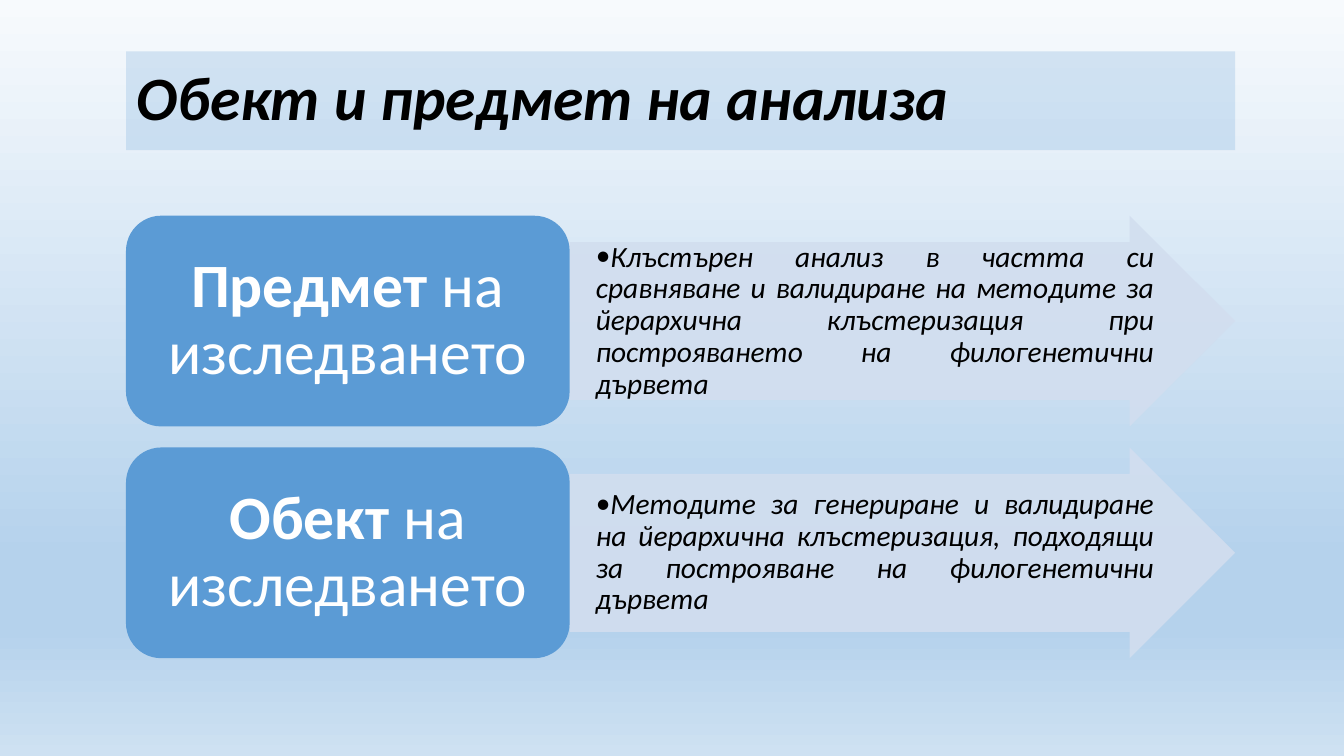
import dataclasses

import lxml.etree
import pptx
import pptx.dml.color
import pptx.enum.shapes
import pptx.enum.text
import pptx.oxml.ns
import pptx.util

ANCHOR = pptx.enum.text.MSO_ANCHOR
ALIGN = pptx.enum.text.PP_ALIGN
SHAPE = pptx.enum.shapes.MSO_SHAPE


@dataclasses.dataclass(frozen=True)
class Theme:
    """Hold the colours, type sizes and grid of the slide."""
    font: str = "Calibri"
    ink: str = "000000"
    light: str = "FFFFFF"
    accent: str = "5B9BD5"
    pale: str = "D2DEEF"
    backdrop: tuple = ((0, "F7FAFD"), (74, "B5D2EC"), (83, "B5D2EC"), (100, "CEE1F2"))
    heading_size: int = 44
    body_size: int = 21
    left: float = 1.25
    top: float = 0.51
    column: float = 1.1
    row: float = 0.209


def add_element(parent, tag, **attributes):
    """Append a drawing element with the given attributes."""
    element = lxml.etree.SubElement(parent, pptx.oxml.ns.qn(tag))
    for name, value in attributes.items():
        element.set(name, str(value))
    return element


def write_span(para, text, *, font, size, color, bold=False, italic=False):
    """Add formatted text to a paragraph."""
    span = para.add_run()
    span.text = text
    span.font.name = font
    span.font.size = pptx.util.Pt(size)
    span.font.bold = bold
    span.font.italic = italic
    span.font.color.rgb = pptx.dml.color.RGBColor.from_string(color)


class SlideBuilder:
    """Draw themed elements on the grid of one page."""

    def __init__(self, page, theme):
        """Keep the page and its theme."""
        self.page = page
        self.theme = theme

    def place(self, column, row, columns, rows):
        """Turn grid cells into left, top, width and height."""
        theme = self.theme
        lengths = (theme.left + column * theme.column, theme.top + row * theme.row,
                   columns * theme.column, rows * theme.row)
        return [pptx.util.Inches(length) for length in lengths]

    def paint(self, box, color, opacity=100):
        """Fill a box with a colour at a percentage of opacity."""
        box.fill.solid()
        box.fill.fore_color.rgb = pptx.dml.color.RGBColor.from_string(color)
        if opacity < 100:
            swatch = box.fill._xPr.find(".//" + pptx.oxml.ns.qn("a:srgbClr"))
            add_element(swatch, "a:alpha", val=opacity * 1000)

    def prepare(self, box, align, insets):
        """Set the text frame of a box and return its first paragraph."""
        frame = box.text_frame
        frame.word_wrap = True
        frame.auto_size = pptx.enum.text.MSO_AUTO_SIZE.NONE
        frame.vertical_anchor = ANCHOR.MIDDLE
        (frame.margin_left, frame.margin_top,
         frame.margin_right, frame.margin_bottom) = map(pptx.util.Inches, insets)
        para = frame.paragraphs[0]
        para.alignment = align
        para.line_spacing = 0.9
        return para

    def add_backdrop(self):
        """Fill the page with a vertical gradient."""
        fill = self.page.background.fill
        fill.gradient()
        gradient = self.page.background._cSld.find(".//" + pptx.oxml.ns.qn("a:gradFill"))
        for child in list(gradient):
            gradient.remove(child)
        stops = add_element(gradient, "a:gsLst")
        for position, color in self.theme.backdrop:
            stop = add_element(stops, "a:gs", pos=position * 1000)
            add_element(stop, "a:srgbClr", val=color)
        add_element(gradient, "a:lin", ang=90 * 60000, scaled=0)

    def add_title(self, text, cells):
        """Move and format the title placeholder."""
        theme = self.theme
        box = self.page.shapes.title
        box.left, box.top, box.width, box.height = self.place(*cells)
        self.paint(box, theme.accent, 21)
        para = self.prepare(box, ALIGN.LEFT, (0.1, 0.05, 0.1, 0.05))
        write_span(para, text, font=theme.font, size=theme.heading_size,
                   color=theme.ink, bold=True, italic=True)

    def add_box(self, kind, cells, color, opacity=100):
        """Add a plain preset shape."""
        box = self.page.shapes.add_shape(kind, *self.place(*cells))
        box.shadow.inherit = False
        box.line.fill.background()
        self.paint(box, color, opacity)
        return box

    def add_label(self, strong, rest, cells):
        """Add a rounded label with a bold first word."""
        theme = self.theme
        box = self.add_box(SHAPE.ROUNDED_RECTANGLE, cells, theme.accent)
        para = self.prepare(box, ALIGN.CENTER, (0.18, 0.09, 0.18, 0.09))
        for text, bold in ((strong, True), (rest, False)):
            write_span(para, text, font=theme.font, size=theme.heading_size,
                       color=theme.light, bold=bold)

    def add_arrow(self, text, cells):
        """Add an arrow with a bulleted description."""
        theme = self.theme
        box = self.add_box(SHAPE.RIGHT_ARROW, cells, theme.pale, 90)
        box.adjustments[0] = 0.75
        box.adjustments[1] = 0.5
        para = self.prepare(box, ALIGN.JUSTIFY, (0.01, 0.01, 0.02, 0.01))
        para.level = 1
        properties = para._p.get_or_add_pPr()
        properties.set("marL", str(pptx.util.Inches(0.25)))
        properties.set("indent", "0")
        add_element(properties, "a:buFont", typeface=theme.font)
        add_element(properties, "a:buChar", char="•")
        write_span(para, text, font=theme.font, size=theme.body_size,
                   color=theme.ink, italic=True)


def main():
    """Build and save the deck."""
    deck = pptx.Presentation()
    deck.slide_width = pptx.util.Inches(13.33)
    deck.slide_height = pptx.util.Inches(7.5)
    page = deck.slides.add_slide(deck.slide_layouts[5])
    builder = SlideBuilder(page, Theme())
    builder.add_backdrop()
    builder.add_title("Обект и предмет на анализа", (0, 0, 10, 4.69))
    topics = (
        ("Предмет", "Клъстърен анализ в частта си сравняване и валидиране на методите за "
         "йерархична клъстеризация при построяването на филогенетични дървета"),
        ("Обект", "Методите за генериране и валидиране на йерархична клъстеризация, "
         "подходящи за построяване на филогенетични дървета"),
    )
    for index, (name, description) in enumerate(topics):
        row = 7.8 + index * 11
        builder.add_arrow(description, (4, row, 6, 10))
        builder.add_label(name, " на изследването", (0, row, 4, 10))
    deck.save("out.pptx")


if __name__ == "__main__":
    main()
